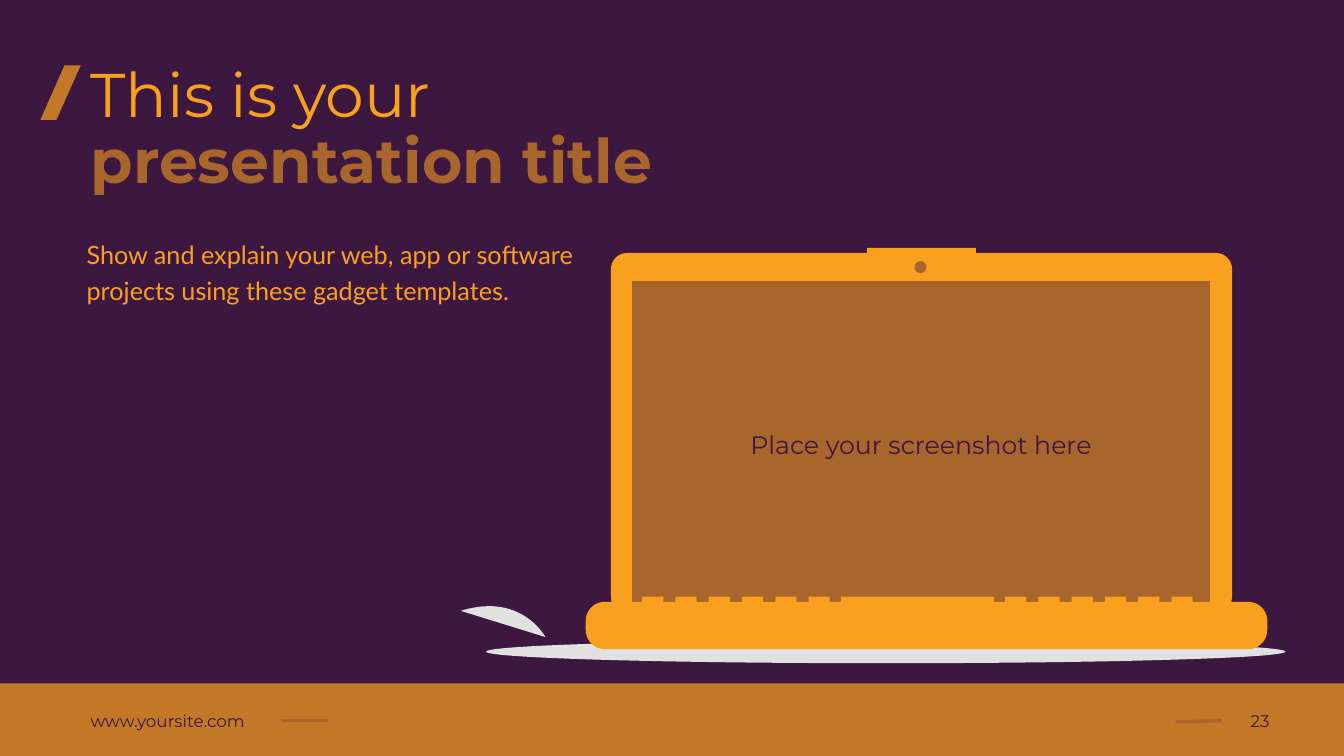
import math

from lxml import etree
from pptx import Presentation
from pptx import util as u
from pptx.dml.color import RGBColor
from pptx.enum import shapes, text
from pptx.oxml.ns import qn

COLOURS = {
    "night": "3C1740",
    "amber": "F9A01E",
    "copper": "C37827",
    "bronze": "A8652C",
    "mist": "E1E1E1",
}
LEFT, CENTRE, RIGHT = text.PP_ALIGN.LEFT, text.PP_ALIGN.CENTER, text.PP_ALIGN.RIGHT
TOP, MIDDLE = text.MSO_ANCHOR.TOP, text.MSO_ANCHOR.MIDDLE
RECT, OVAL = shapes.MSO_SHAPE.RECTANGLE, shapes.MSO_SHAPE.OVAL


class GadgetSlide:
    def __init__(self, slide, colours, font):
        self.slide = slide
        self.colours = colours
        self.font = font
        fill = slide.background.fill
        fill.solid()
        fill.fore_color.rgb = self.colour("night")

    def colour(self, name):
        return RGBColor.from_string(self.colours[name])

    def paint(self, part, fill):
        part.shadow.inherit = False
        part.fill.solid()
        part.fill.fore_color.rgb = self.colour(fill)
        part.line.fill.background()
        return part

    def preset(self, kind, at, fill):
        box = [u.Inches(n) for n in at]
        return self.paint(self.slide.shapes.add_shape(kind, *box), fill)

    def outline(self, points, fill):
        start, *rest = [(u.Inches(x), u.Inches(y)) for x, y in points]
        builder = self.slide.shapes.build_freeform(*start)
        builder.add_line_segments(rest, close=True)
        return self.paint(builder.convert_to_shape(), fill)

    def add_words(self, part, words, size, colour, bold=None, align=LEFT,
                  anchor=TOP, font=None, spacing=None, inset=None):
        frame = part.text_frame
        frame.word_wrap = True
        frame.vertical_anchor = anchor
        if inset is not None:
            frame.margin_left = frame.margin_right = u.Inches(inset)
            frame.margin_top = frame.margin_bottom = u.Inches(inset)
        paragraph = frame.paragraphs[0]
        paragraph.alignment = align
        if spacing:
            paragraph.line_spacing = spacing
        run = paragraph.add_run()
        run.text = words
        run.font.name = font or self.font
        run.font.size = u.Pt(size)
        run.font.bold = bold
        run.font.color.rgb = self.colour(colour)

    def label(self, at, words, size, colour, **style):
        box = self.slide.shapes.add_textbox(*[u.Inches(n) for n in at])
        self.add_words(box, words, size, colour, **style)
        return box

    def dash(self, owner, side, start, end):
        ends = [u.Inches(n) for n in (*start, *end)]
        rule = self.slide.shapes.add_connector(shapes.MSO_CONNECTOR.STRAIGHT, *ends)
        rule.begin_connect(owner, side)
        rule.line.color.rgb = self.colour("bronze")
        rule.line.width = u.Pt(2.25)
        etree.SubElement(rule._element.spPr, qn("a:effectLst"))


def rounded(left, top, right, bottom, radius, top_edge):
    def corner(x, y, first_angle):
        angles = [math.radians(first_angle + step * 9) for step in range(11)]
        return [(x + radius * math.cos(a), y + radius * math.sin(a)) for a in angles]

    west, east = left + radius, right - radius
    north, south = top + radius, bottom - radius
    return (corner(west, north, 180) + top_edge + corner(east, north, 270)
            + corner(east, south, 0) + corner(west, south, 90))


def tab(left, width, top, base):
    right = left + width
    return [(left, base), (left, top), (right, top), (right, base)]


def curve(p0, p1, p2, p3, steps=24):
    def at(t):
        weights = ((1 - t) ** 3, 3 * t * (1 - t) ** 2, 3 * t * t * (1 - t), t ** 3)
        return [sum(w * p[axis] for w, p in zip(weights, (p0, p1, p2, p3)))
                for axis in (0, 1)]
    return [at(step / steps) for step in range(steps + 1)]


def draw_footer(page):
    page.preset(RECT, (0, 6.78, 13.33, 0.72), "copper")
    number = page.label((12.12, 6.95, 0.57, 0.4), "23", 12, "night",
                        align=RIGHT, anchor=MIDDLE)
    page.dash(number, 1, (12.12, 7.15), (11.66, 7.16))
    site = page.label((0.8, 6.95, 1.99, 0.4), "www.yoursite.com", 12, "night",
                      anchor=MIDDLE)
    page.dash(site, 3, (2.79, 7.15), (3.25, 7.15))


def draw_laptop(page):
    page.preset(OVAL, (4.82, 6.35, 7.93, 0.23), "mist")
    lid_tab = tab(8.6, 1.08, 2.46, 2.51)
    page.outline(rounded(6.06, 2.51, 12.22, 6.08, 0.16, lid_tab), "amber")
    screen = page.preset(RECT, (6.27, 2.79, 5.73, 3.23), "bronze")
    page.add_words(screen, "Place your screenshot here", 18, "night",
                   align=CENTRE, anchor=MIDDLE)
    page.preset(OVAL, (9.07, 2.59, 0.12, 0.12), "bronze")

    pitch, key_width, keys_per_side = 0.33, 0.21, 6
    left_keys = [(6.37 + pitch * i, key_width) for i in range(keys_per_side)]
    right_keys = [(9.97 + pitch * i, key_width) for i in range(keys_per_side)]
    keyboard = left_keys + [(8.34, 1.52)] + right_keys
    key_edge = [point for left, width in keyboard
                for point in tab(left, width, 5.92, 5.97)]
    page.outline(rounded(5.81, 5.97, 12.57, 6.44, 0.19, key_edge), "amber")
    page.outline(curve((5.41, 6.32), (5.41, 6.32), (5.17, 5.87), (4.57, 6.06)), "mist")


def draw_copy(page):
    page.label((0.86, 2.31, 5.07, 0.76),
               "Show and explain your web, app or software projects "
               "using these gadget templates.",
               18, "amber", font="Lato", spacing=1.2, inset=0)
    page.outline([(0.56, 1.19), (0.4, 1.19), (0.64, 0.65), (0.8, 0.65)], "copper")
    page.label((0.8, 0.51, 8.27, 0.84), "This is your", 44, "amber")
    page.label((0.8, 1.16, 5.94, 0.84), "presentation title", 44, "bronze", bold=True)


def main():
    deck = Presentation()
    deck.slide_width, deck.slide_height = u.Inches(13.33), u.Inches(7.5)
    page = GadgetSlide(deck.slides.add_slide(deck.slide_layouts[6]),
                       COLOURS, "Montserrat")
    draw_footer(page)
    draw_laptop(page)
    draw_copy(page)
    deck.save("out.pptx")


if __name__ == "__main__":
    main()
